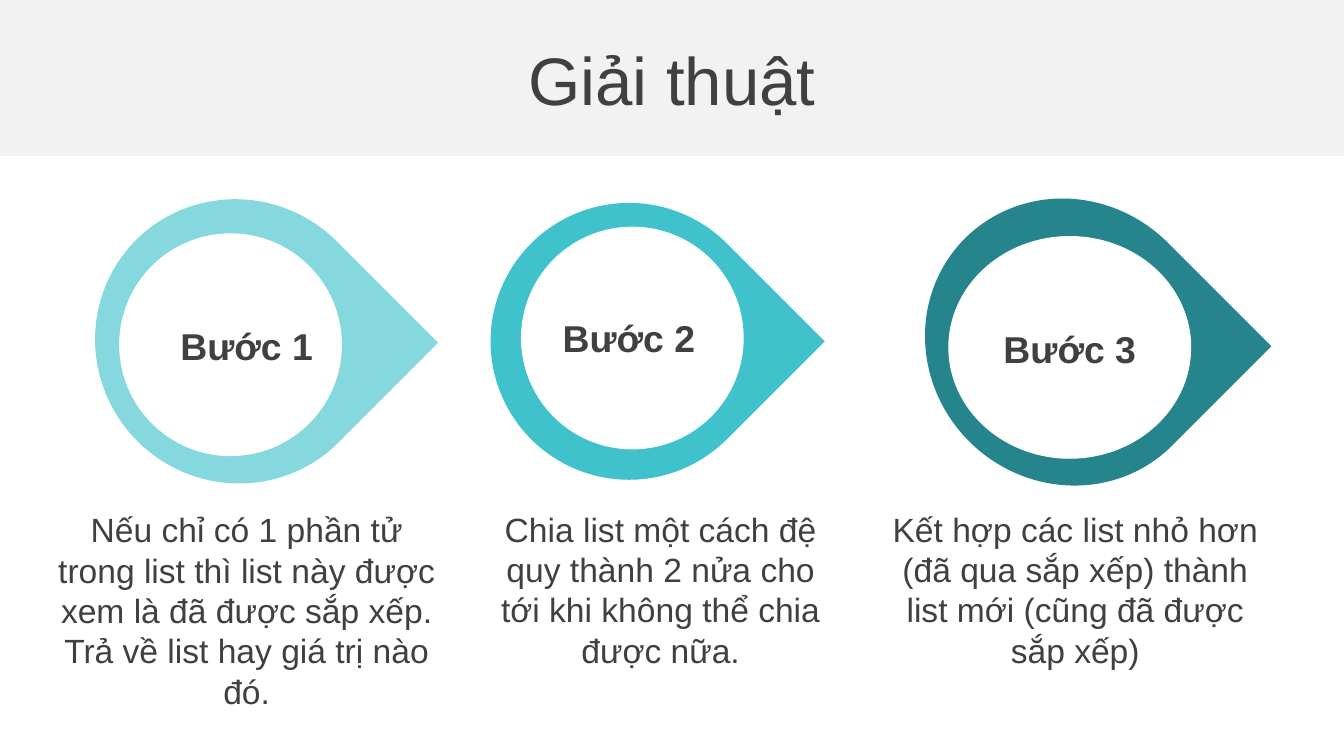
from pptx import Presentation
from pptx.dml.color import RGBColor
from pptx.enum.shapes import MSO_SHAPE
from pptx.enum.text import MSO_ANCHOR, PP_ALIGN
from pptx.util import Inches, Pt

COLORS = {
    "band": "F2F2F2",
    "text": "404040",
    "white": "FFFFFF",
    "light": "85D8DE",
    "medium": "3FC2CB",
    "dark": "26858C",
}

STEPS = [
    {
        "color": "dark",
        "drop": (6.86, 1.5, 2.18, 2.09),
        "hole": (7.06, 1.76, 1.8, 1.65),
        "label": ("Bước 3", (7.24, 2.37, 1.44, 0.44)),
        "body": ("Kết hợp các list nhỏ hơn (đã qua sắp xếp) thành list mới "
                 "(cũng đã được sắp xếp)", (6.44, 3.73, 3.12, 1.31)),
    },
    {
        "color": "medium",
        "drop": (3.65, 1.51, 2.06, 2.06),
        "hole": (3.88, 1.69, 1.65, 1.65),
        "label": ("Bước 2", (3.96, 2.29, 1.44, 0.44)),
        "body": ("Chia list một cách đệ quy thành 2 nửa cho tới khi không thể "
                 "chia được nữa.", (3.62, 3.73, 2.59, 1.31)),
    },
    {
        "color": "light",
        "drop": (0.7, 1.49, 2.13, 2.1),
        "hole": (0.89, 1.74, 1.65, 1.65),
        "label": ("Bước 1", (0.89, 2.35, 1.89, 0.44)),
        "body": ("Nếu chỉ có 1 phần tử trong list thì list này được xem là đã "
                 "được sắp xếp. Trả về list hay giá trị nào đó.",
                 (0.29, 3.73, 3.09, 1.62)),
    },
]


class SlideBuilder:
    font = "Arial"

    def __init__(self, s):
        self.s = s

    def color(self, name):
        return RGBColor.from_string(COLORS[name])

    def shape(self, kind, box, fill, line=None, rotation=0):
        sp = self.s.shapes.add_shape(kind, *map(Inches, box))
        sp.shadow.inherit = False
        sp.rotation = rotation
        sp.fill.solid()
        sp.fill.fore_color.rgb = self.color(fill)
        if line:
            sp.line.color.rgb = self.color(line)
            sp.line.width = Pt(0.5)
        else:
            sp.line.fill.background()

    def text(self, text, box, **formats):
        tf = self.s.shapes.add_textbox(*map(Inches, box)).text_frame
        tf.word_wrap = True
        tf.vertical_anchor = MSO_ANCHOR.MIDDLE
        p = tf.paragraphs[0]
        p.alignment = PP_ALIGN.CENTER
        r = p.add_run()
        r.text = text
        for key, value in {"name": self.font, **formats}.items():
            setattr(r.font, key, value)
        r.font.color.rgb = self.color("text")


def main():
    prs = Presentation()
    prs.slide_width = Inches(10)
    prs.slide_height = prs.slide_width * 9 // 16
    s = SlideBuilder(prs.slides.add_slide(prs.slide_layouts[6]))

    s.shape(MSO_SHAPE.RECTANGLE, (0, 0, 10, 1.16), "band")
    s.text("Giải thuật", (0, 0.27, 10, 0.63), size=Pt(36))
    for step in STEPS:
        s.shape(MSO_SHAPE.TEAR, step["drop"], step["color"], rotation=45)
        s.shape(MSO_SHAPE.OVAL, step["hole"], "white", line="white")
        s.text(*step["label"], size=Pt(20), bold=True)
        s.text(*step["body"], size=Pt(18))
    prs.save("out.pptx")


if __name__ == "__main__":
    main()
